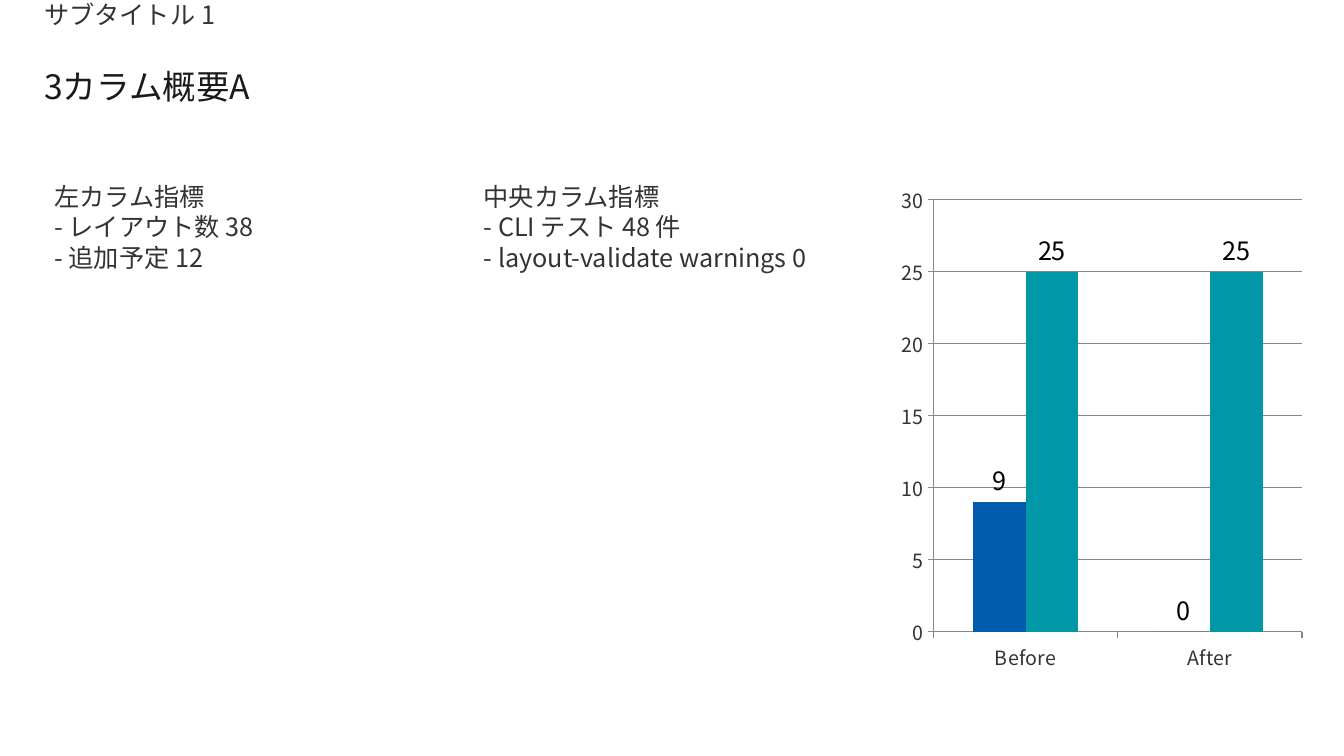
from dataclasses import dataclass

from lxml import etree
from pptx import Presentation
from pptx.chart.data import CategoryChartData
from pptx.dml.color import RGBColor
from pptx.enum.chart import XL_CHART_TYPE, XL_LABEL_POSITION, XL_TICK_MARK
from pptx.enum.text import MSO_ANCHOR
from pptx.oxml.ns import qn
from pptx.util import Pt

COLUMN = XL_CHART_TYPE.COLUMN_CLUSTERED
OUTSIDE_END = XL_LABEL_POSITION.OUTSIDE_END
TICK_OUT = XL_TICK_MARK.OUTSIDE
TOP, BOTTOM = MSO_ANCHOR.TOP, MSO_ANCHOR.BOTTOM


@dataclass(frozen=True)
class Theme:
    font: str = "Noto Sans CJK JP"
    title: RGBColor = RGBColor(0x1A, 0x1A, 0x1A)
    text: RGBColor = RGBColor(0x33, 0x33, 0x33)
    label: RGBColor = RGBColor(0x00, 0x00, 0x00)
    line: RGBColor = RGBColor(0x87, 0x87, 0x87)
    bars: tuple = (RGBColor(0x00, 0x5B, 0xAC), RGBColor(0x00, 0x97, 0xA7))
    title_size: int = 24
    body_size: int = 18
    axis_size: int = 14


theme = Theme()


def set_font(font, size, color):
    font.name = theme.font
    font.size = Pt(size)
    font.color.rgb = color


def add_text(box, lines, size, color, spacing, anchor=TOP, indent=False):
    tf = s.shapes.add_textbox(*map(Pt, box)).text_frame
    tf.word_wrap = True
    tf.vertical_anchor = anchor
    tf.text = "\n".join(lines)
    for p in tf.paragraphs:
        p.line_spacing = spacing
        set_font(p.font, size, color)
        pPr = p._p.get_or_add_pPr()
        latin = pPr.find(qn("a:defRPr")).find(qn("a:latin"))
        ea = etree.Element(qn("a:ea"), typeface=theme.font)
        latin.addnext(ea)
        if indent:
            pPr.set("marL", str(Pt(21.6)))
            pPr.set("indent", str(Pt(-14.4)))


prs = Presentation()
prs.slide_width, prs.slide_height = Pt(960), Pt(540)
s = prs.slides.add_slide(prs.slide_layouts[6])

left, top, width, height = 24.5, 125.3, 298, 360.7
pitch = 306.75

add_text((left, 0, 369.4, 25.2), ["サブタイトル 1"], theme.body_size, theme.text, 0.9, BOTTOM)
add_text((left, 46.8, 910.8, 65.5), ["3カラム概要A"], theme.title_size, theme.title, 0.9)

columns = [
    ["左カラム指標", "- レイアウト数 38", "- 追加予定 12"],
    ["中央カラム指標", "- CLI テスト 48 件", "- layout-validate warnings 0"],
]
for i, lines in enumerate(columns):
    box = (left + i * pitch, top, width, height)
    add_text(box, lines, theme.body_size, theme.text, Pt(22), indent=True)

data = CategoryChartData(number_format="0")
data.categories = ["Before", "After"]
data.add_series("Series 1", (9, 0))
data.add_series("Series 2", (25, 25))
chart_box = (left + 2 * pitch, top, width, height)
chart = s.shapes.add_chart(COLUMN, *map(Pt, chart_box), data).chart
chart.has_title = False
chart.has_legend = False
set_font(chart.font, theme.body_size, theme.label)

plot = chart.plots[0]
plot.vary_by_categories = False
plot.gap_width = 150
plot.overlap = 0
for series, color in zip(plot.series, theme.bars):
    series.format.fill.solid()
    series.format.fill.fore_color.rgb = color
    labels = series.data_labels
    labels.show_value = True
    labels.number_format = "0"
    labels.number_format_is_linked = False
    labels.position = OUTSIDE_END
    set_font(labels.font, theme.body_size, theme.label)

for axis in (chart.category_axis, chart.value_axis):
    axis.major_tick_mark = TICK_OUT
    axis.format.line.color.rgb = theme.line
    set_font(axis.tick_labels.font, theme.axis_size, theme.text)

value_axis = chart.value_axis
value_axis.minimum_scale, value_axis.maximum_scale, value_axis.major_unit = 0, 30, 5
value_axis.tick_labels.number_format = "0"
value_axis.tick_labels.number_format_is_linked = False
value_axis.has_major_gridlines = True
value_axis.major_gridlines.format.line.color.rgb = theme.line

prs.save("out.pptx")
